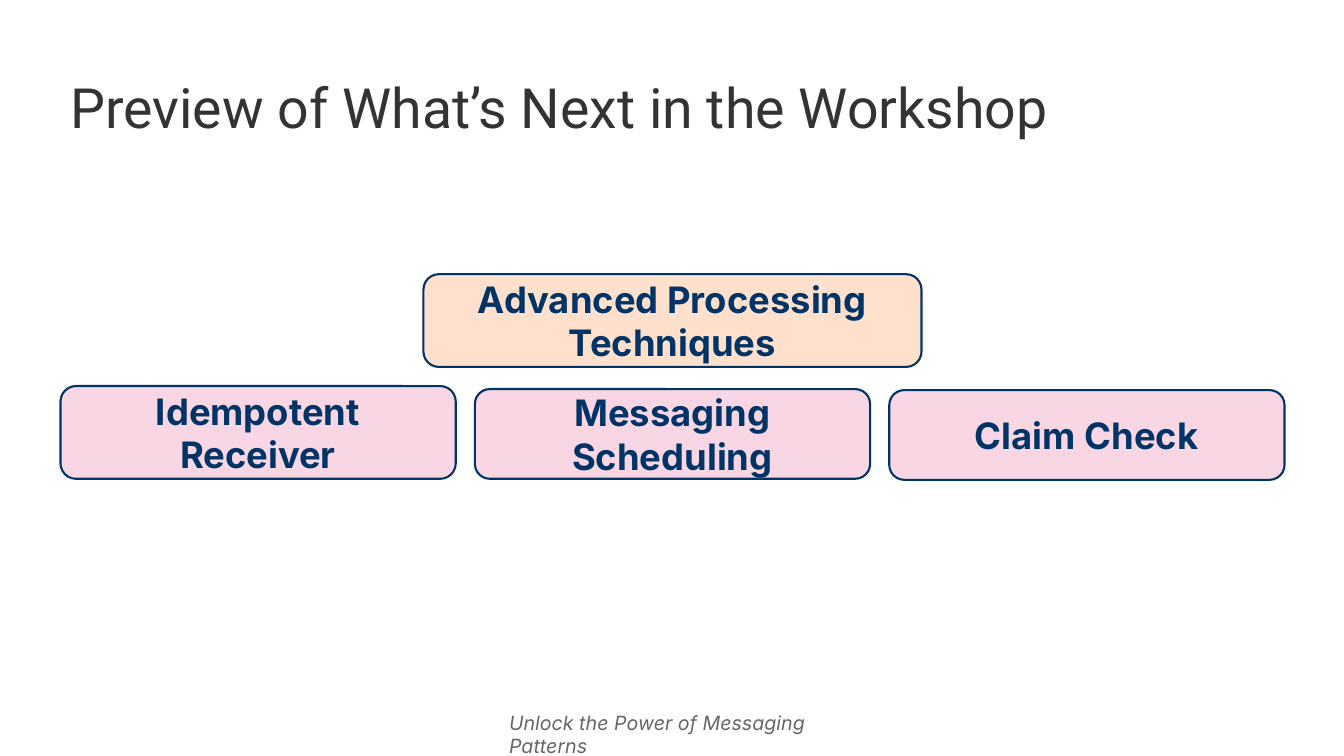
from lxml.etree import SubElement
from pptx import Presentation
from pptx.dml.color import RGBColor
from pptx.enum.shapes import MSO_SHAPE
from pptx.enum.text import MSO_ANCHOR, PP_ALIGN
from pptx.oxml.ns import qn
from pptx.util import Pt

PX = 9144
HUES = {"ink": "333333", "grey": "666666", "navy": "003366",
        "orange": "FF6600", "pink": "DD3377"}
FONTS = {
    "title": {"name": "Roboto", "size": Pt(39.6)},
    "card": {"name": "Inter", "size": Pt(26), "bold": True},
    "foot": {"name": "Inter", "size": Pt(14), "italic": True},
}


def hue(name):
    """Return the named colour."""
    return RGBColor.from_string(HUES[name])


def scale(box):
    """Turn a box in px into EMU."""
    return [side * PX for side in box]


def write(shape, text, style, color, anchor):
    """Put styled text in a shape and return its paragraph."""
    frame = shape.text_frame
    frame.word_wrap = True
    frame.vertical_anchor = anchor
    para = frame.paragraphs[0]
    run = para.add_run()
    run.text = text
    for key, value in FONTS[style].items():
        setattr(run.font, key, value)
    run.font.color.rgb = hue(color)
    return para


def add_title(slide, box, text):
    """Place the slide title."""
    shape = slide.shapes.add_textbox(*scale(box))
    para = write(shape, text, "title", "ink", MSO_ANCHOR.MIDDLE)
    para.line_spacing = 0.9


def add_footer(slide, box, text):
    """Place the footer line."""
    shape = slide.shapes.add_textbox(*scale(box))
    write(shape, text, "foot", "grey", MSO_ANCHOR.TOP)


def add_card(slide, box, text, tint):
    """Place a rounded card with a pale tint."""
    card = slide.shapes.add_shape(MSO_SHAPE.ROUNDED_RECTANGLE, *scale(box))
    card.shadow.inherit = False
    card.fill.solid()
    card.fill.fore_color.rgb = hue(tint)
    color = card.fill._xPr.find(qn("a:solidFill"))[0]
    SubElement(color, qn("a:alpha"), val="20000")
    card.line.color.rgb = hue("navy")
    card.line.width = Pt(1.5)
    para = write(card, text, "card", "navy", MSO_ANCHOR.MIDDLE)
    para.alignment = PP_ALIGN.CENTER


def add_topics(slide, box):
    """Place the theme card above a row of topic cards."""
    left, top, width, high = box
    wide, gap = 494, 19
    add_card(slide, (left + (width - wide) // 2, top, wide, high),
             "Advanced Processing Techniques", "orange")
    topics = [("Idempotent Receiver", 0, 92), ("Messaging Scheduling", 3, 89),
              ("Claim Check", 4, 89)]
    cell = (width - gap * (len(topics) - 1)) // len(topics)
    for i, (text, drop, tall) in enumerate(topics):
        spot = (left + i * (cell + gap), top + high + gap + drop, cell, tall)
        add_card(slide, spot, text, "pink")


def main():
    """Build and save the slide."""
    deck = Presentation()
    deck.slide_width, deck.slide_height = scale((1333, 750))
    slide = deck.slides.add_slide(deck.slide_layouts[6])
    add_footer(slide, (495, 700, 342, 34),
               "Unlock the Power of Messaging Patterns")
    add_title(slide, (60, 50, 1214, 120),
              "Preview of What’s Next in the Workshop")
    add_topics(slide, (60, 272, 1214, 92))
    deck.save("out.pptx")


if __name__ == "__main__":
    main()
